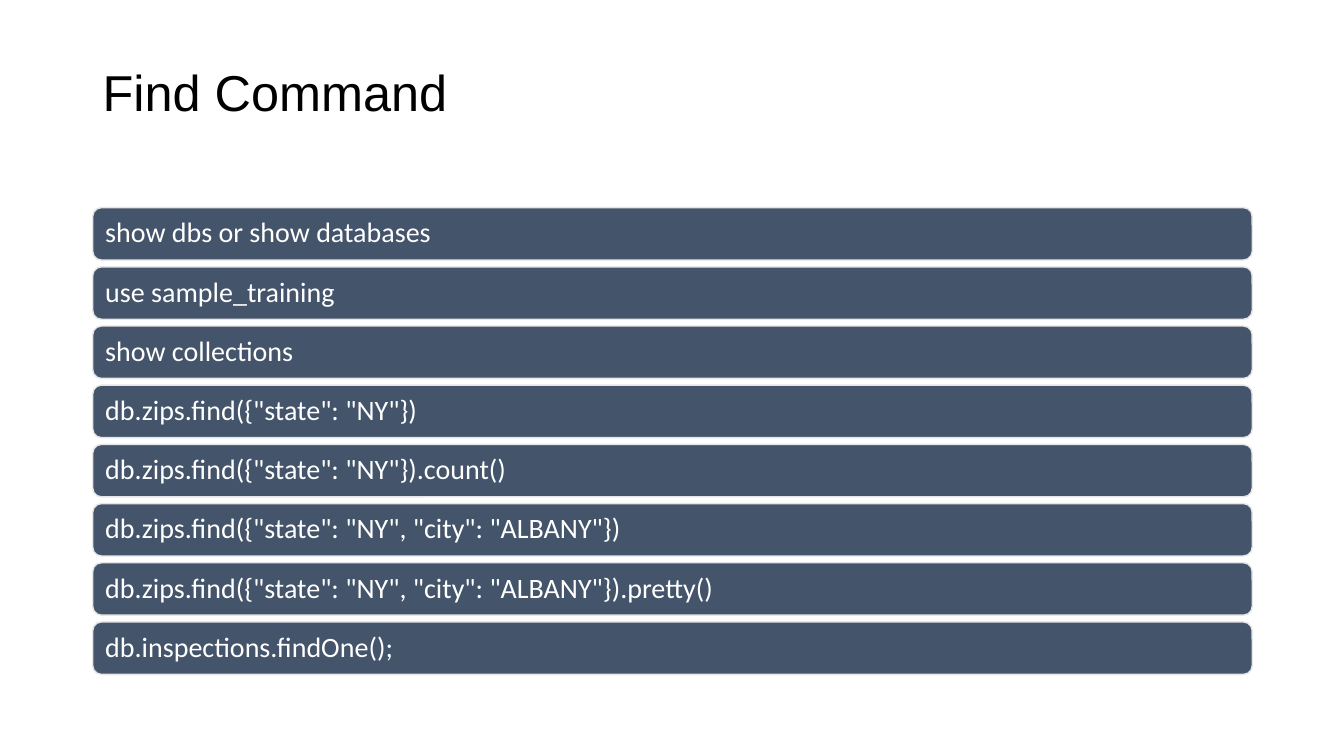
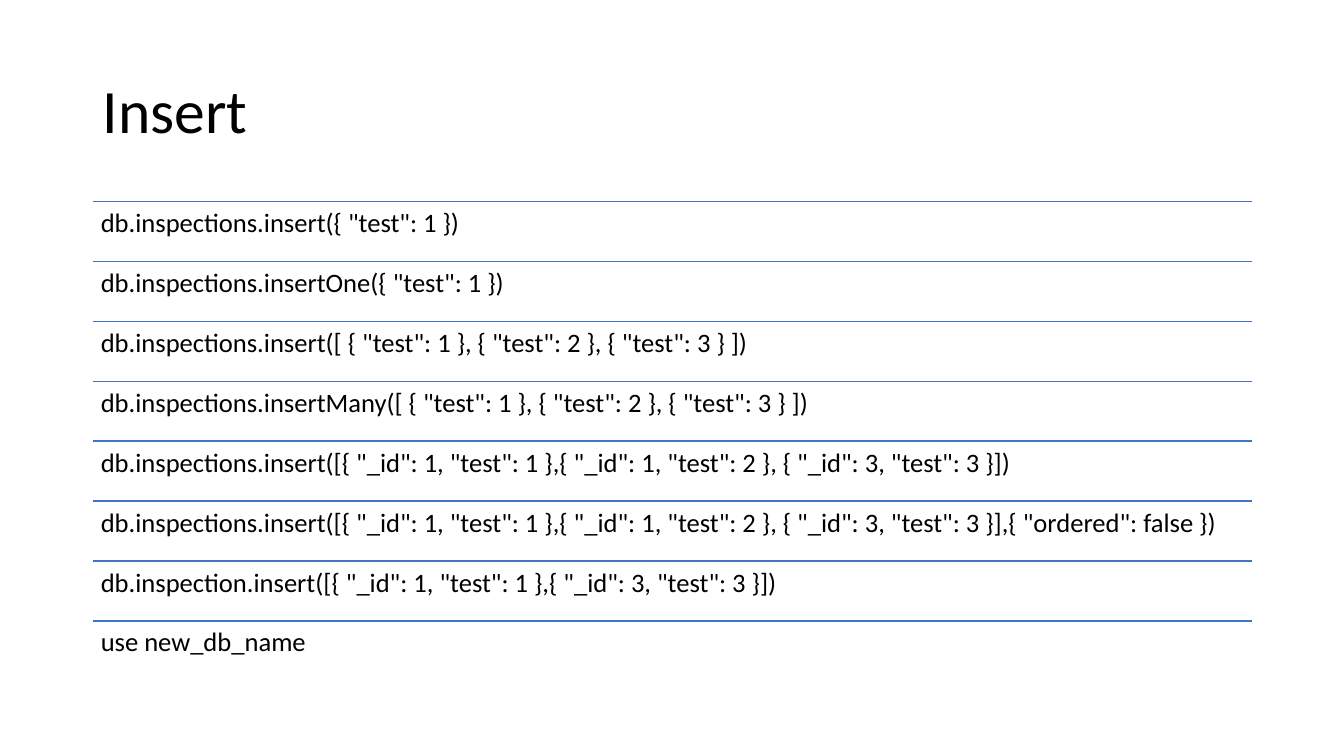
"""Build two slides of database shell commands: find and insert."""
from lxml import etree
from pptx import Presentation
from pptx.dml.color import RGBColor
from pptx.enum.shapes import MSO_CONNECTOR, MSO_SHAPE
from pptx.enum.text import MSO_ANCHOR, PP_ALIGN
from pptx.oxml.ns import qn
from pptx.util import Inches, Pt

STRAIGHT = MSO_CONNECTOR.STRAIGHT
ROUNDED = MSO_SHAPE.ROUNDED_RECTANGLE
TOP, MIDDLE = MSO_ANCHOR.TOP, MSO_ANCHOR.MIDDLE
LEFT_ALIGN = PP_ALIGN.LEFT

COLORS = {"text": "000000", "bar": "44546A", "bar_edge": "E7E6E6",
          "bar_text": "FFFFFF", "rule": "4472C4"}
LEFT, WIDTH = 0.92, 11.5

FIND_COMMANDS = [
    'show dbs or show databases',
    'use sample_training',
    'show collections',
    'db.zips.find({"state": "NY"})',
    'db.zips.find({"state": "NY"}).count()',
    'db.zips.find({"state": "NY", "city": "ALBANY"})',
    'db.zips.find({"state": "NY", "city": "ALBANY"}).pretty()',
    'db.inspections.findOne();',
]
INSERT_COMMANDS = [
    'db.inspections.insert({ "test": 1 })',
    'db.inspections.insertOne({ "test": 1 })',
    'db.inspections.insert([ { "test": 1 }, { "test": 2 }, { "test": 3 } ])',
    'db.inspections.insertMany([ { "test": 1 }, { "test": 2 }, { "test": 3 } ])',
    'db.inspections.insert([{ "_id": 1, "test": 1 },{ "_id": 1, "test": 2 }, '
    '{ "_id": 3, "test": 3 }])',
    'db.inspections.insert([{ "_id": 1, "test": 1 },{ "_id": 1, "test": 2 }, '
    '{ "_id": 3, "test": 3 }],{ "ordered": false })',
    'db.inspection.insert([{ "_id": 1, "test": 1 },{ "_id": 3, "test": 3 }])',
    'use new_db_name',
]


def color(name):
    return RGBColor.from_string(COLORS[name])


def write(shape, text, *, size, font="Calibri", ink="text", anchor=MIDDLE,
          side=0.1, edge=0.05):
    frame = shape.text_frame
    frame.word_wrap = True
    frame.vertical_anchor = anchor
    frame.margin_left = frame.margin_right = Inches(side)
    frame.margin_top = frame.margin_bottom = Inches(edge)
    para = frame.paragraphs[0]
    para.alignment = LEFT_ALIGN
    para.line_spacing = 0.9
    span = para.add_run()
    span.text = text
    span.font.size = Pt(size)
    span.font.name = font
    span.font.color.rgb = color(ink)


def add_text(page, text, top, height, **style):
    box = page.shapes.add_textbox(Inches(LEFT), Inches(top), Inches(WIDTH), Inches(height))
    write(box, text, **style)


def add_bars(page, commands, top=2.06, last_top=6.17, height=0.52):
    pitch = (last_top - top) / (len(commands) - 1)
    for index, command in enumerate(commands):
        bar = page.shapes.add_shape(ROUNDED, Inches(LEFT), Inches(top + index * pitch),
                                    Inches(WIDTH), Inches(height))
        bar.shadow.inherit = False
        bar.fill.solid()
        bar.fill.fore_color.rgb = color("bar")
        bar.line.color.rgb = color("bar_edge")
        bar.line.width = Pt(1)
        write(bar, command, size=20, ink="bar_text")


def add_ruled_rows(page, commands, top=2, last_top=6.16):
    pitch = (last_top - top) / (len(commands) - 1)
    for index, command in enumerate(commands):
        row_top = top + index * pitch
        rule = page.shapes.add_connector(STRAIGHT, Inches(LEFT), Inches(row_top),
                                         Inches(LEFT + WIDTH), Inches(row_top))
        rule.line.color.rgb = color("rule")
        rule.line.width = Pt(1)
        etree.SubElement(rule._element.spPr, qn("a:effectLst"))
        add_text(page, command, row_top, pitch, size=19, anchor=TOP, side=0.08, edge=0.08)


def main():
    deck = Presentation()
    deck.slide_width, deck.slide_height = Inches(13.33), Inches(7.5)
    blank = deck.slide_layouts[6]

    find_page = deck.slides.add_slide(blank)
    add_text(find_page, "Find Command", 0.61, 0.67, size=36, font="Arial")
    add_bars(find_page, FIND_COMMANDS)

    insert_page = deck.slides.add_slide(blank)
    add_text(insert_page, "Insert", 0.4, 1.45, size=44)
    add_ruled_rows(insert_page, INSERT_COMMANDS)

    deck.save("out.pptx")


if __name__ == "__main__":
    main()
